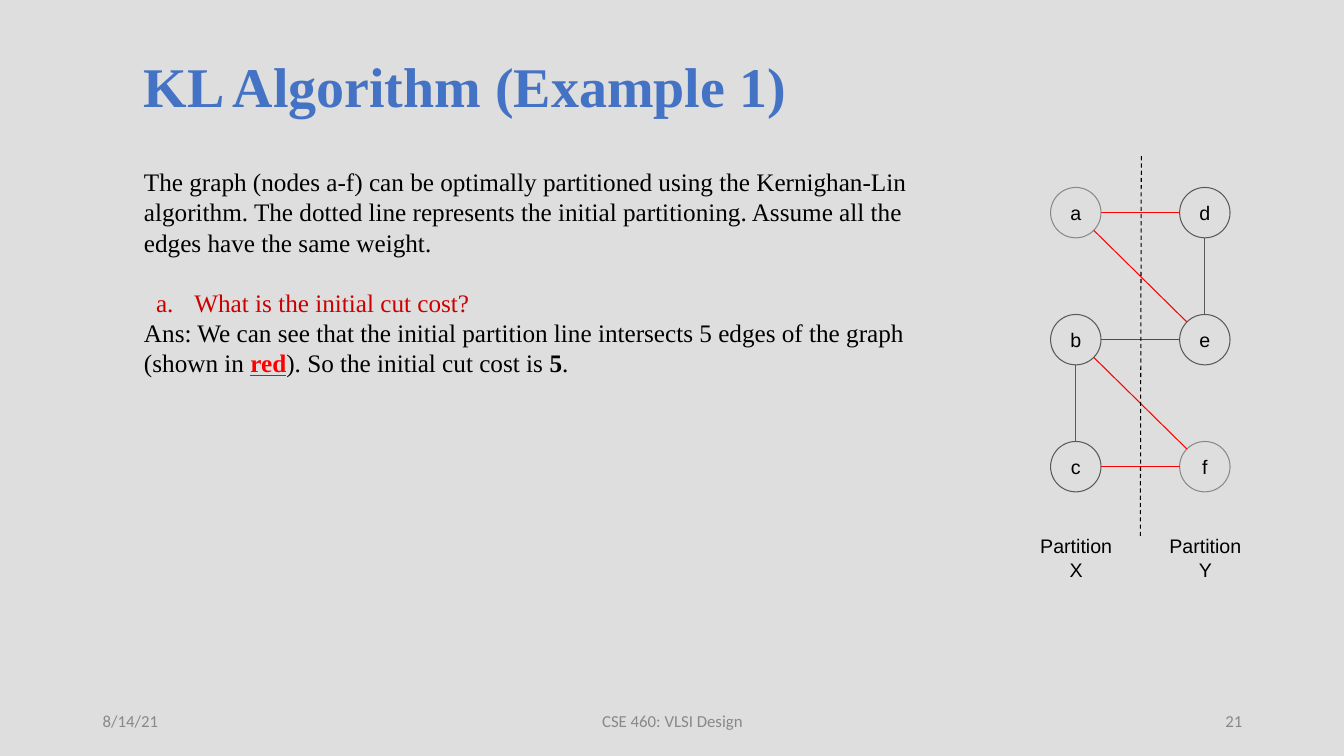
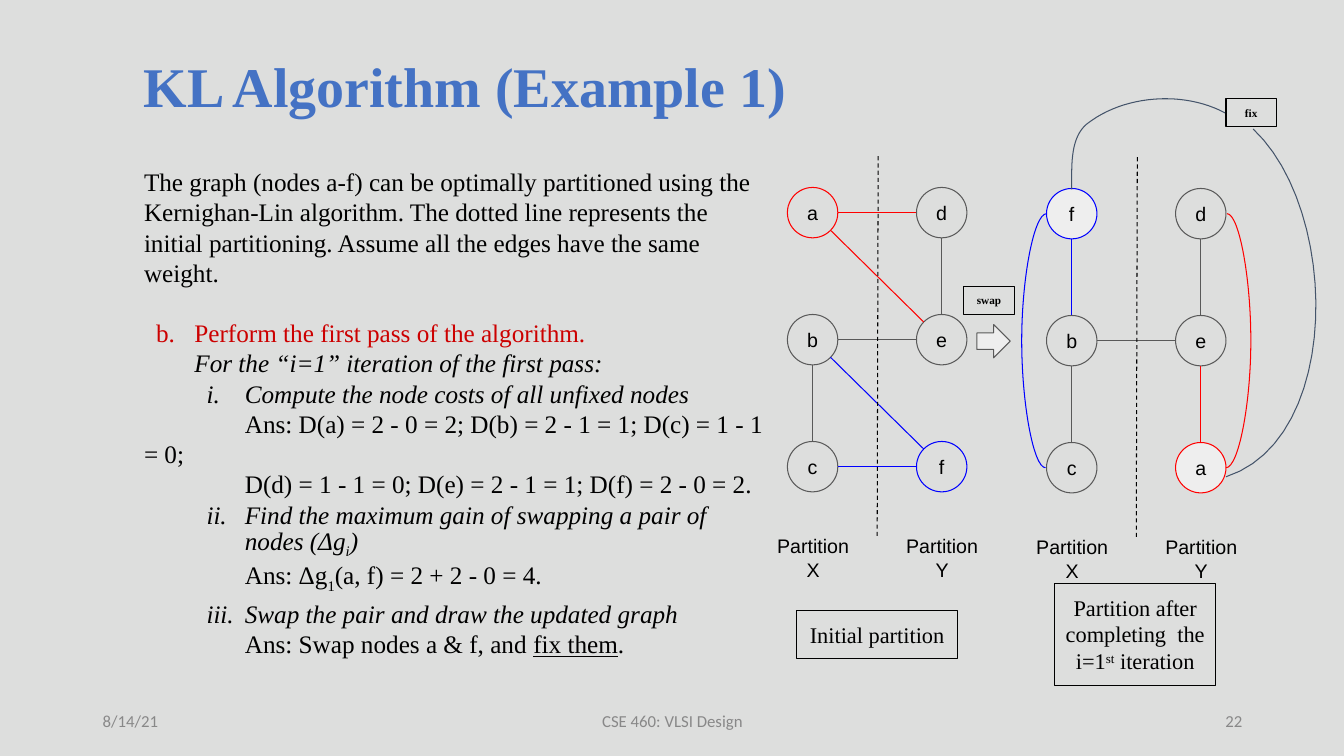
"""Build two slides on the Kernighan-Lin partitioning example."""
import math

from lxml import etree
from pptx import Presentation
from pptx.dml.color import RGBColor
from pptx.enum import dml, shapes, text
from pptx.oxml import ns
from pptx.util import Inches, Pt

SERIF, SANS, FOOTER_FONT = "Times New Roman", "Arial", "Calibri"
BACKGROUND, TITLE_BLUE, FOOTER_GREY = "DDDEDD", "4472C4", "888888"
BLACK, GREY, PALE, SLATE = "000000", "595959", "EEEEEE", "44546A"
RED, BLUE, QUESTION_RED = "FF0000", "0000FF", "CC0000"
LEFT, CENTER, RIGHT = text.PP_ALIGN.LEFT, text.PP_ALIGN.CENTER, text.PP_ALIGN.RIGHT
TOP, MIDDLE = text.MSO_ANCHOR.TOP, text.MSO_ANCHOR.MIDDLE
RADIUS, COLUMN_GAP, ROW_GAP = 0.25, 1.28, 1.26
LINE_FACTOR = 1.2
INTRO = ("The graph (nodes a-f) can be optimally partitioned using the Kernighan-Lin "
         "algorithm. The dotted line represents the initial partitioning. "
         "Assume all the edges have the same weight.")


def rgb(value):
    """Turn a hex string into a colour."""
    return RGBColor.from_string(value)


def add_xml(parent, tag, **attributes):
    """Append a drawing element to a parent."""
    return etree.SubElement(parent, ns.qn(tag), **attributes)


def set_frame(frame, anchor, inset, inset_y=None):
    """Wrap a text frame and set its margins and anchor."""
    frame.word_wrap = True
    frame.vertical_anchor = anchor
    frame.margin_left = frame.margin_right = Inches(inset)
    frame.margin_top = frame.margin_bottom = Inches(inset if inset_y is None else inset_y)


def style_run(run, size, font, color=BLACK, bold=False, italic=False, underline=False, base=0):
    """Give a run its character format."""
    run.font.size, run.font.name = Pt(size), font
    run.font.bold, run.font.italic, run.font.underline = bold, italic, underline
    run.font.color.rgb = rgb(color)
    if base:
        run.font._element.set("baseline", str(base * 1000))


def write_runs(paragraph, pieces, size, font, align=LEFT):
    """Fill a paragraph with (words, format) pieces."""
    paragraph.alignment = align
    paragraph.line_spacing = Pt(round(size * LINE_FACTOR, 1))
    for words, look in pieces:
        run = paragraph.add_run()
        run.text = words
        style_run(run, size, font, **look)


def add_label(slide, box, words, size, font, align=CENTER, anchor=MIDDLE,
              inset=0.1, inset_y=0.05, **look):
    """Add a one-format text box."""
    label = slide.shapes.add_textbox(*map(Inches, box))
    set_frame(label.text_frame, anchor, inset, inset_y)
    write_runs(label.text_frame.paragraphs[0], [(words, look)], size, font, align)


def style_outline(shape, line, fill=None):
    """Set the fill and thin outline of a shape."""
    shape.shadow.inherit = False
    if fill:
        shape.fill.solid()
        shape.fill.fore_color.rgb = rgb(fill)
    else:
        shape.fill.background()
    shape.line.color.rgb = rgb(line)
    shape.line.width = Pt(0.75)


def add_outlined(slide, kind, box, line=BLACK, fill=None):
    """Add a preset shape with a thin outline."""
    shape = slide.shapes.add_shape(kind, *map(Inches, box))
    style_outline(shape, line, fill)
    return shape


def add_caption(slide, box, pieces, size, anchor=TOP, inset=0.1):
    """Add a framed caption."""
    caption = add_outlined(slide, shapes.MSO_SHAPE.RECTANGLE, box)
    set_frame(caption.text_frame, anchor, inset)
    write_runs(caption.text_frame.paragraphs[0], pieces, size, SERIF, CENTER)


def add_line(slide, start, end, color, kind=shapes.MSO_CONNECTOR.STRAIGHT):
    """Add a thin connector between two points."""
    line = slide.shapes.add_connector(kind, *map(Inches, (*start, *end)))
    line.line.color.rgb = rgb(color)
    line.line.width = Pt(0.75)
    add_xml(line._element.spPr, "a:effectLst")
    return line


def add_bulge(slide, start, end, color, bend):
    """Add a curved connector that bulges away from its ends."""
    bulge = add_line(slide, start, end, color, shapes.MSO_CONNECTOR.CURVE)
    geometry = bulge._element.spPr.find(ns.qn("a:prstGeom"))
    guides = geometry.find(ns.qn("a:avLst"))
    if guides is None:
        guides = add_xml(geometry, "a:avLst")
    add_xml(guides, "a:gd", name="adj1", fmla=f"val {bend * 100000}")


def bezier(p0, p1, p2, p3, steps=24):
    """List points along a cubic curve."""
    points = []
    for step in range(steps + 1):
        t = step / steps
        weights = ((1 - t) ** 3, 3 * t * (1 - t) ** 2, 3 * t * t * (1 - t), t ** 3)
        points.append(tuple(sum(w * p[axis] for w, p in zip(weights, (p0, p1, p2, p3)))
                            for axis in (0, 1)))
    return points


def add_arc(slide, points, color):
    """Draw an open outline through points."""
    first, *rest = [tuple(map(Inches, point)) for point in points]
    builder = slide.shapes.build_freeform(*first)
    builder.add_line_segments(rest, close=False)
    style_outline(builder.convert_to_shape(), color)


def add_graph(slide, left, top, names, edges, outlines, fills=()):
    """Draw six nodes in two columns with edges, divider and labels."""
    centers = {name: (left + i // 3 * COLUMN_GAP, top + i % 3 * ROW_GAP)
               for i, name in enumerate(names)}
    for name, (x, y) in centers.items():
        box = (x - RADIUS, y - RADIUS, 2 * RADIUS, 2 * RADIUS)
        node = add_outlined(slide, shapes.MSO_SHAPE.OVAL, box, outlines.get(name, GREY),
                            PALE if name in fills else None)
        set_frame(node.text_frame, MIDDLE, 0)
        write_runs(node.text_frame.paragraphs[0], [(name, {})], 14, SANS, CENTER)
    for (tail, head), color in edges.items():
        (x1, y1), (x2, y2) = centers[tail], centers[head]
        reach = RADIUS / math.dist((x1, y1), (x2, y2))
        dx, dy = (x2 - x1) * reach, (y2 - y1) * reach
        add_line(slide, (x1 + dx, y1 + dy), (x2 - dx, y2 - dy), color)
    divider = add_line(slide, (left + 0.65, top - 0.56), (left + 0.64, top + 3.22), BLACK)
    divider.line.dash_style = dml.MSO_LINE.DASH
    for column, side in enumerate("XY"):
        box = (left + column * COLUMN_GAP - 0.46, top + 3.09, 0.93, 0.67)
        add_label(slide, box, f"Partition {side}", 14, SANS, anchor=TOP, inset_y=0.1)


def number_paragraph(paragraph, scheme, start, color):
    """Number a paragraph automatically."""
    properties = paragraph._p.get_or_add_pPr()
    tint = add_xml(properties, "a:buClr")
    add_xml(tint, "a:srgbClr", val=color)
    add_xml(properties, "a:buFont", typeface=SERIF)
    add_xml(properties, "a:buAutoNum", type=scheme, startAt=str(start))


def add_body(slide, box, items):
    """Write the intro and the (pieces, layout) items below it."""
    frame = slide.shapes.add_textbox(*map(Inches, box)).text_frame
    set_frame(frame, TOP, 0.1)
    for i, (pieces, layout) in enumerate([([(INTRO, {})], {})] + items):
        paragraph = frame.paragraphs[0] if i == 0 else frame.add_paragraph()
        write_runs(paragraph, pieces, 18, SERIF)
        paragraph.space_before = Pt(layout.get("before", 0))
        paragraph.level = layout.get("level", 0)
        properties = paragraph._p.get_or_add_pPr()
        properties.set("marL", str(Inches(layout.get("margin", 0))))
        properties.set("indent", str(Inches(layout.get("indent", 0))))
        if "number" in layout:
            number_paragraph(paragraph, *layout["number"])


def question(words, start):
    """Make a lettered red question."""
    return ([(words, {"color": QUESTION_RED})],
            {"margin": 0.5, "indent": -0.38, "before": 21.6,
             "number": ("alphaLcPeriod", start, QUESTION_RED)})


def step(start, *pieces, before=0):
    """Make a roman-numbered step in italics."""
    return ([(words, {"italic": True, **look}) for words, look in pieces],
            {"level": 1, "margin": 1, "indent": -0.38, "before": before,
             "number": ("romanLcPeriod", start, BLACK)})


def answer(*pieces, **layout):
    """Make an answer whose first line is indented."""
    return list(pieces), {"indent": 1, **layout}


def new_slide(prs, number):
    """Add a slide with the shared title and footer."""
    slide = prs.slides.add_slide(prs.slide_layouts[6])
    for left, width, words, align in ((0.92, 3, "8/14/21", LEFT),
                                      (4.42, 4.5, "CSE 460: VLSI Design", CENTER),
                                      (9.42, 3, str(number), RIGHT)):
        add_label(slide, (left, 6.95, width, 0.4), words, 12, FOOTER_FONT, align,
                  color=FOOTER_GREY)
    add_label(slide, (1.33, 0.45, 9.94, 0.78), "KL Algorithm (Example 1)", 40, SERIF, LEFT,
              inset_y=0.02, color=TITLE_BLUE, bold=True)
    return slide


def build_cut_cost(prs):
    """Build the slide on the initial cut cost."""
    slide = new_slide(prs, 21)
    add_body(slide, (1.33, 1.55, 7.84, 2.32), [
        question("What is the initial cut cost?", 1),
        ([("Ans: We can see that the initial partition line intersects 5 edges of the graph "
           "(shown in ", {}),
          ("red", {"color": RED, "bold": True, "underline": True}),
          ("). So the initial cut cost is ", {}), ("5", {"bold": True}), (".", {})], {}),
    ])
    edges = {"ad": RED, "ae": RED, "de": GREY, "be": RED, "bc": GREY, "cf": RED, "bf": RED}
    add_graph(slide, 10.67, 2.11, "abcdef", edges, {"a": FOOTER_GREY, "f": FOOTER_GREY})


def build_first_pass(prs):
    """Build the slide on the first pass."""
    slide = new_slide(prs, 22)
    add_body(slide, (1.33, 1.55, 6.39, 4.75), [
        question("Perform the first pass of the algorithm.", 2),
        ([("For the “i=1” iteration of the first pass:", {"italic": True})], {"margin": 0.5}),
        step(1, ("Compute the node costs of all unfixed nodes", {})),
        answer(("Ans: D(a) = 2 - 0 = 2; D(b) = 2 - 1 = 1; D(c) = 1 - 1 = 0;", {})),
        answer(("D(d) = 1 - 1 = 0; D(e) = 2 - 1 = 1; D(f) = 2 - 0 = 2.", {})),
        step(2, ("Find the maximum gain of swapping a pair of nodes (Δg", {}),
             ("i", {"base": -25}), (")", {})),
        answer(("Ans: Δg", {}), ("1", {"base": -25}), ("(a, f) = 2 + 2 - 0 = 4.", {}),
               before=3),
        step(3, ("Swap the pair and draw the updated graph", {}), before=3),
        answer(("Ans: Swap nodes a & f, and ", {}), ("fix them", {"underline": True}),
               (".", {})),
    ])
    swapped = {"a": RED, "f": BLUE}
    initial_edges = {"ad": RED, "ae": RED, "de": GREY, "be": GREY, "bc": GREY,
                     "cf": BLUE, "bf": BLUE}
    updated_edges = {"de": GREY, "be": GREY, "bc": GREY, "ea": RED, "fb": BLUE}
    add_graph(slide, 8.06, 2.11, "abcdef", initial_edges, swapped)
    add_graph(slide, 10.63, 2.12, "fbcdea", updated_edges, swapped, fills="af")
    add_bulge(slide, (12.16, 4.64), (12.17, 2.12), RED, 25)
    add_bulge(slide, (10.38, 2.12), (10.37, 4.64), BLUE, 25)
    add_outlined(slide, shapes.MSO_SHAPE.RIGHT_ARROW, (9.69, 3.22, 0.33, 0.33), GREY, PALE)
    add_caption(slide, (7.9, 6.06, 1.6, 0.47), [("Initial partition", {})], 16)
    add_caption(slide, (10.46, 5.79, 1.6, 1.01),
                [("Partition after completing  the i=1", {}), ("st", {"base": 30}),
                 (" iteration", {})], 16)
    for words, left, top in (("swap", 9.56, 2.84), ("fix", 12.16, 0.98)):
        add_caption(slide, (left, top, 0.5, 0.28), [(words, {"bold": True})], 8, MIDDLE, 0.05)
    to_f = (bezier((12.15, 1.12), (11.74, 0.9), (11.15, 0.94), (10.78, 1.23))
            + bezier((10.78, 1.23), (10.61, 1.37), (10.63, 1.66), (10.63, 1.88))[1:])
    to_a = bezier((12.43, 1.28), (13.29, 2.09), (13.31, 4.36), (12.16, 4.73))
    for arc in (to_f, to_a):
        add_arc(slide, arc, SLATE)


def main():
    """Build and save the presentation."""
    prs = Presentation()
    prs.slide_width, prs.slide_height = Inches(13.33), Inches(7.5)
    backdrop = prs.slide_master.background.fill
    backdrop.solid()
    backdrop.fore_color.rgb = rgb(BACKGROUND)
    build_cut_cost(prs)
    build_first_pass(prs)
    prs.save("out.pptx")


if __name__ == "__main__":
    main()
